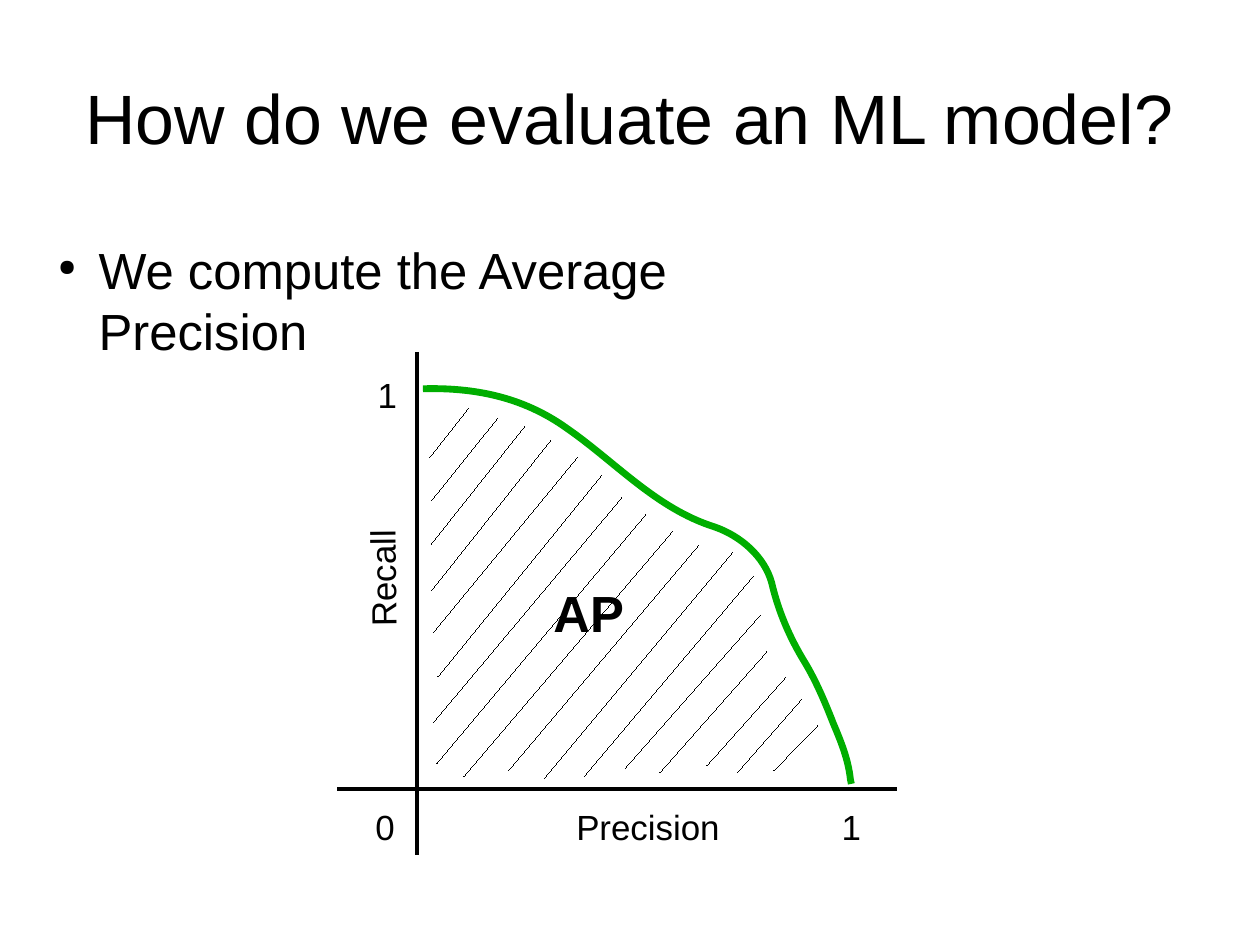
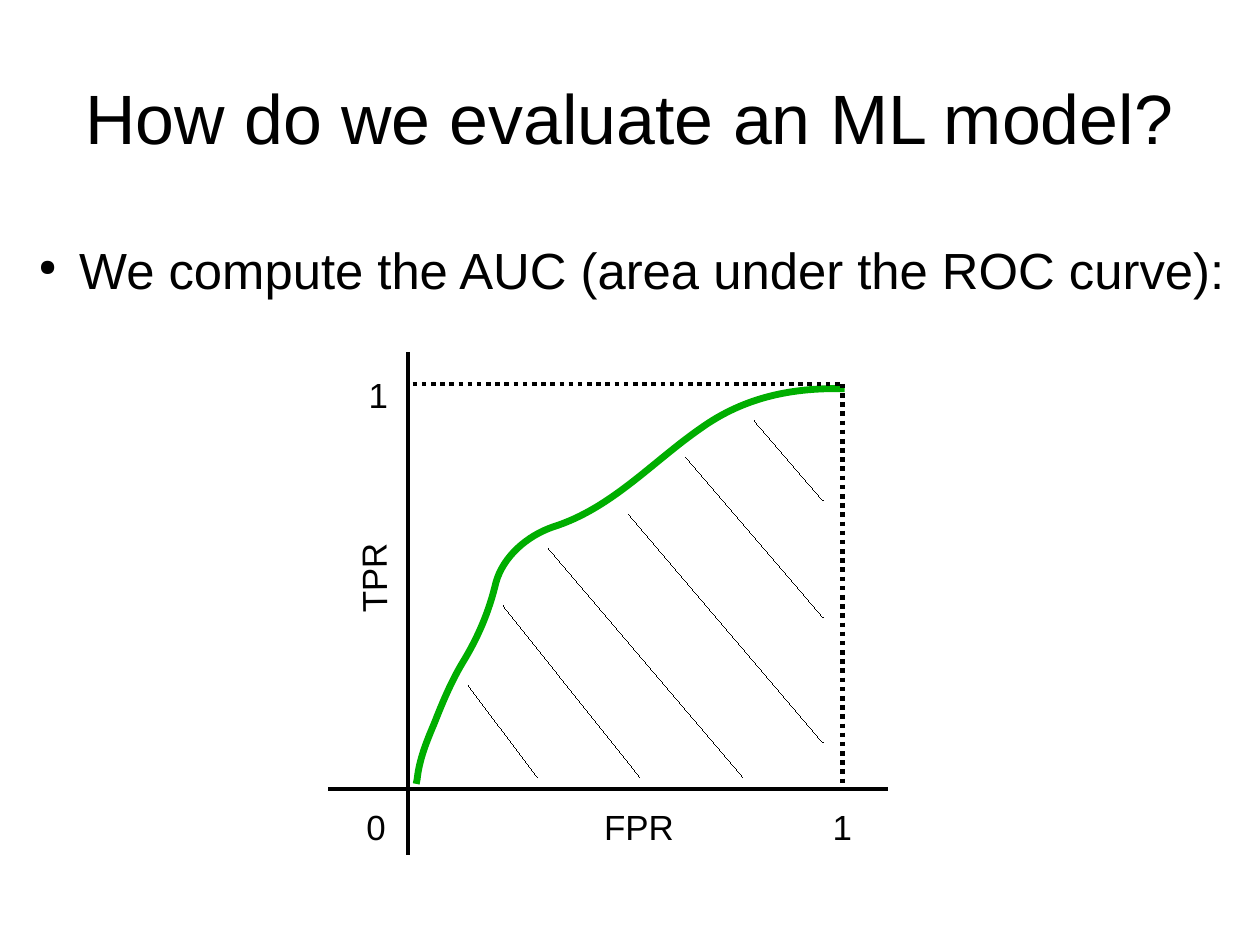
from dataclasses import dataclass
from typing import Optional

import lxml.etree
import pptx
import pptx.dml.color
import pptx.enum.dml
import pptx.enum.shapes
import pptx.enum.text
import pptx.oxml.ns
import pptx.util

Cm = pptx.util.Cm
Pt = pptx.util.Pt
qn = pptx.oxml.ns.qn

COLORS = {"ink": "000000", "curve": "00AE00", "paper": "FFFFFF"}
FONT = "Arial"
TITLE = "How do we evaluate an ML model?"
BASE_Y = 17.53
AXIS_WIDTH = 2.89
MIRROR_SPAN = 9.83

CURVE = [
    (0.13, 8.64),
    (1.25, 8.61), (2.34, 8.81), (3.33, 9.52),
    (4.40, 10.26), (5.31, 11.30), (6.61, 11.71),
    (7.19, 11.91), (7.72, 12.37), (7.88, 12.95),
    (8.03, 13.59), (8.28, 14.17), (8.61, 14.71),
    (8.87, 15.14), (9.07, 15.62), (9.25, 16.08),
    (9.42, 16.48), (9.58, 16.87), (9.63, 17.32),
    (9.65, 17.42),
]


@dataclass(frozen=True)
class Box:
    x: float
    y: float
    w: float
    h: float


@dataclass(frozen=True)
class Line:
    x1: float
    y1: float
    x2: float
    y2: float


@dataclass(frozen=True)
class Plot:
    bullet: str
    body: Box
    origin_x: float
    x_name: str
    y_name: str
    mirrored: bool
    guides: list[Line]
    hatch: list[Line]
    area_name: str = ""


PLOTS = [
    Plot(
        "We compute the Average Precision", Box(0.99, 5.3, 18.77, 15.24),
        9.27, "Precision", "Recall", False, [],
        [
            Line(10.41, 9.07, 9.55, 10.16),
            Line(11.05, 9.3, 9.58, 11.13),
            Line(11.66, 9.47, 9.58, 12.09),
            Line(12.24, 9.78, 9.58, 13.13),
            Line(12.83, 10.16, 9.63, 14.05),
            Line(13.36, 10.57, 9.73, 15.04),
            Line(13.82, 11.05, 9.63, 16.05),
            Line(14.35, 11.43, 9.7, 16.97),
            Line(14.94, 11.81, 10.31, 17.25),
            Line(15.52, 12.12, 11.3, 17.12),
            Line(16.28, 12.27, 12.09, 17.3),
            Line(16.74, 12.8, 12.98, 17.25),
            Line(16.89, 13.67, 13.89, 17.07),
            Line(17.04, 14.48, 14.66, 17.17),
            Line(17.45, 15.06, 15.7, 17.02),
            Line(17.81, 15.54, 16.38, 17.17),
            Line(18.16, 16.13, 17.2, 17.12),
        ],
        "AP",
    ),
    Plot(
        "We compute the AUC (area under the ROC curve):",
        Box(0.56, 5.3, 26.77, 15.24),
        9.07, "FPR", "TPR", True,
        [Line(9.17, 8.53, 18.72, 8.53), Line(18.72, 8.53, 18.72, 17.42)],
        [
            Line(10.41, 15.24, 11.94, 17.27),
            Line(11.18, 13.46, 14.22, 17.27),
            Line(12.19, 12.19, 16.51, 17.27),
            Line(13.97, 11.43, 18.29, 16.51),
            Line(15.24, 10.16, 18.29, 13.72),
            Line(16.76, 9.35, 18.29, 11.13),
        ],
    ),
]


def rgb(name: str) -> pptx.dml.color.RGBColor:
    return pptx.dml.color.RGBColor.from_string(COLORS[name])


def add_text(slide, text: str, box: Box, size: float, inset: bool = True,
             bold: bool = False, bulleted: bool = False):
    sp = slide.shapes.add_textbox(Cm(box.x), Cm(box.y), Cm(box.w), Cm(box.h))
    tf = sp.text_frame
    tf.word_wrap = True
    if not inset:
        tf.margin_left = tf.margin_right = tf.margin_top = tf.margin_bottom = 0
    p = tf.paragraphs[0]
    if bulleted:
        add_bullet(p)
    else:
        p.alignment = pptx.enum.text.PP_ALIGN.CENTER
    r = p.add_run()
    r.text = text
    r.font.name = FONT
    r.font.size = Pt(size)
    r.font.bold = bold
    r.font.color.rgb = rgb("ink")
    return sp


def add_bullet(p) -> None:
    pPr = p._p.get_or_add_pPr()
    pPr.set("marL", str(Cm(1.2)))
    pPr.set("indent", str(Cm(-0.9)))
    color = lxml.etree.SubElement(pPr, qn("a:buClr"))
    lxml.etree.SubElement(color, qn("a:srgbClr"), val=COLORS["ink"])
    lxml.etree.SubElement(pPr, qn("a:buSzPct"), val="45000")
    lxml.etree.SubElement(pPr, qn("a:buChar"), char="●")
    p.space_after = Pt(14.1)


def add_line(slide, line: Line, width: Optional[float] = None,
             dotted: bool = False) -> None:
    cxn = slide.shapes.add_connector(
        pptx.enum.shapes.MSO_CONNECTOR.STRAIGHT,
        Cm(line.x1), Cm(line.y1), Cm(line.x2), Cm(line.y2))
    cxn._element.remove(cxn._element.find(qn("p:style")))
    cxn.line.color.rgb = rgb("ink")
    if width is not None:
        cxn.line.width = Pt(width)
    if dotted:
        cxn.line.dash_style = pptx.enum.dml.MSO_LINE.ROUND_DOT
    lxml.etree.SubElement(cxn._element.spPr, qn("a:effectLst"))


def add_curve(slide, origin_x: float, mirrored: bool) -> None:
    pts = [(Cm(origin_x + (MIRROR_SPAN - x if mirrored else x)), Cm(y))
           for x, y in CURVE]
    fb = slide.shapes.build_freeform(*pts[0])
    fb.add_line_segments(pts[1:], close=False)
    sp = fb.convert_to_shape()
    sp.shadow.inherit = False
    sp.fill.background()
    sp.line.color.rgb = rgb("curve")
    sp.line.width = Pt(4.31)
    outline = sp._element.find(".//" + qn("a:path"))
    segments = outline.findall(qn("a:lnTo"))[:-1]
    for i in range(0, len(segments), 3):
        bezier = lxml.etree.Element(qn("a:cubicBezTo"))
        segments[i].addprevious(bezier)
        for segment in segments[i:i + 3]:
            bezier.append(segment[0])
            outline.remove(segment)


def add_axes(slide, plot: Plot) -> None:
    x = plot.origin_x
    add_line(slide, Line(x, 7.82, x, 19), AXIS_WIDTH)
    add_line(slide, Line(x - 1.78, BASE_Y, x + 10.67, BASE_Y), AXIS_WIDTH)
    add_text(slide, plot.x_name, Box(x + 0.94, 17.78, 8.38, 1.12), 22)
    sp = add_text(slide, plot.y_name, Box(x - 5, 12.29, 8.38, 1.12), 22)
    sp.rotation = 269.4
    for text, dx, y in (("1", 8.89, 17.78), ("0", -1.47, 17.78),
                        ("1", -1.42, 8.18)):
        add_text(slide, text, Box(x + dx, y, 1.52, 1.12), 22)


def add_plot_slide(prs, plot: Plot) -> None:
    slide = prs.slides.add_slide(prs.slide_layouts[6])
    slide.background.fill.solid()
    slide.background.fill.fore_color.rgb = rgb("paper")
    title = add_text(slide, TITLE, Box(1.4, 0.84, 25.2, 3.5), 44, inset=False)
    title.text_frame.vertical_anchor = pptx.enum.text.MSO_ANCHOR.MIDDLE
    add_text(slide, plot.bullet, plot.body, 32, inset=False, bulleted=True)
    add_axes(slide, plot)
    add_curve(slide, plot.origin_x, plot.mirrored)
    for guide in plot.guides:
        add_line(slide, guide, AXIS_WIDTH, dotted=True)
    for stroke in plot.hatch:
        add_line(slide, stroke)
    if plot.area_name:
        sp = add_text(slide, plot.area_name, Box(11, 12.8, 4.17, 1.63), 32,
                      bold=True)
        sp.text_frame.auto_size = pptx.enum.text.MSO_AUTO_SIZE.SHAPE_TO_FIT_TEXT


def main() -> None:
    prs = pptx.Presentation()
    prs.slide_width = Cm(28)
    prs.slide_height = Cm(21)
    for plot in PLOTS:
        add_plot_slide(prs, plot)
    prs.save("out.pptx")


if __name__ == "__main__":
    main()
